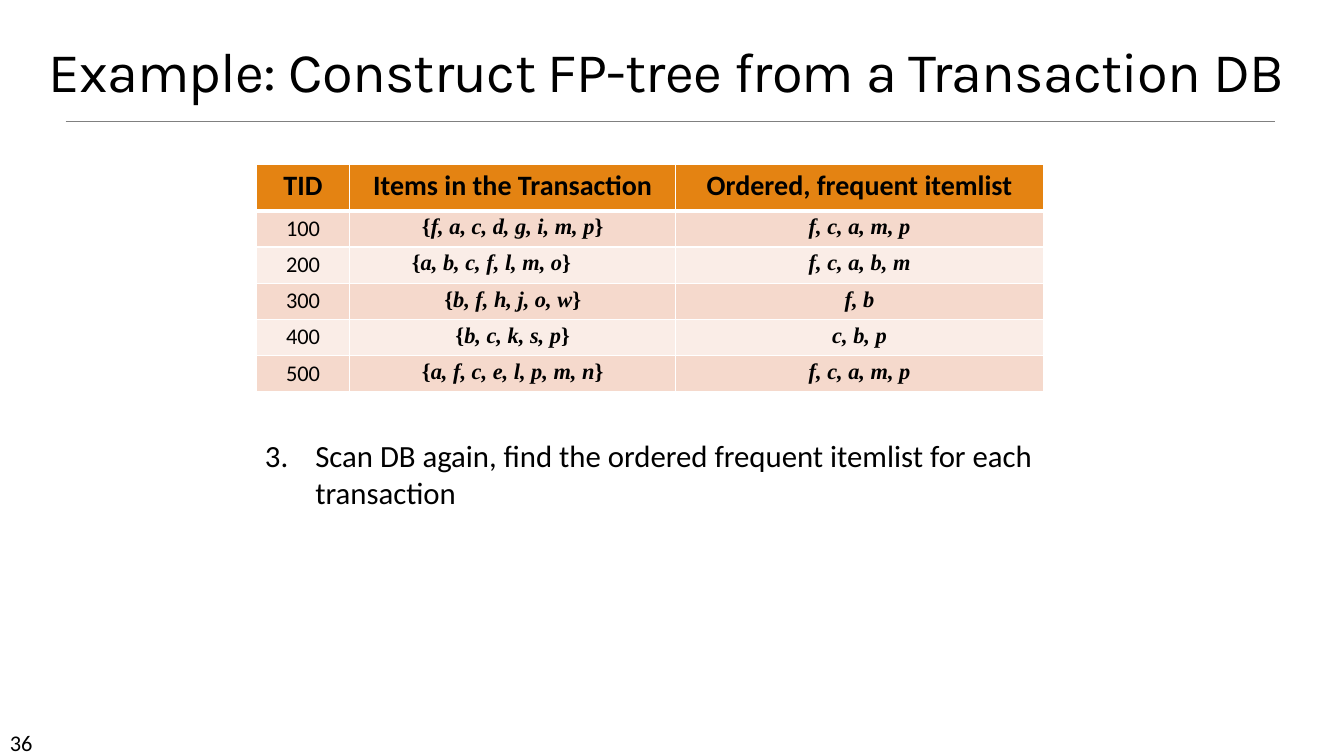
from lxml import etree
from pptx import Presentation
from pptx.dml.color import RGBColor
from pptx.enum.shapes import MSO_CONNECTOR
from pptx.enum.text import MSO_ANCHOR, PP_ALIGN
from pptx.oxml.ns import qn
from pptx.util import Inches, Pt

CENTER = PP_ALIGN.CENTER
BOTTOM = MSO_ANCHOR.BOTTOM
STRAIGHT = MSO_CONNECTOR.STRAIGHT

BODY, SERIF, HEADING = "Calibri", "Times New Roman", "Karla"
BLACK, WHITE, GRAY = "000000", "FFFFFF", "808080"
HEADER_FILL, BAND_FILLS = "E48312", ("F5D9CC", "FAEDE7")

HEADERS = ("TID", "Items in the Transaction", "Ordered, frequent itemlist")
TRANSACTIONS = (
    ("100", "f, a, c, d, g, i, m, p", "}", "f, c, a, m, p"),
    ("200", "a, b, c, f, l, m, o", "}\t", "f, c, a, b, m"),
    ("300", "b, f, h, j, o, w", "}", "f, b"),
    ("400", "b, c, k, s, p", "}", "c, b, p"),
    ("500", "a, f, c, e, l, p, m, n", "}", "f, c, a, m, p"),
)
COLUMN_WIDTHS = (0.93, 3.23, 3.65)
HEADER_HEIGHT, ROW_HEIGHT = 0.46, 0.36


def rgb(value):
    """Turn a hex string into a colour."""
    return RGBColor.from_string(value)


def add_run(p, text, size, font=BODY, bold=False, italic=False):
    """Append a black run to a paragraph."""
    r = p.add_run()
    r.text = text
    r.font.size = Pt(size)
    r.font.name = font
    r.font.bold = bold
    r.font.italic = italic
    r.font.color.rgb = rgb(BLACK)
    return r


def add_text_box(s, left, top, width, height):
    """Add a wrapping text box and return its text frame."""
    box = s.shapes.add_textbox(Inches(left), Inches(top), Inches(width), Inches(height))
    tf = box.text_frame
    tf.word_wrap = True
    return tf


def add_title(s, left, top, width, height):
    """Place the title and the rule under it."""
    tf = add_text_box(s, left, top, width, height)
    tf.vertical_anchor = BOTTOM
    p = tf.paragraphs[0]
    p.alignment = CENTER
    p.line_spacing = 0.85
    r = add_run(p, "Example: Construct FP-tree from a Transaction DB", 40, HEADING)
    r.font._element.set("spc", "-50")

    rule_left, rule_top = Inches(left + 0.43), Inches(top + height + 0.12)
    rule = s.shapes.add_connector(
        STRAIGHT, rule_left, rule_top, rule_left + Inches(12), rule_top)
    rule.line.color.rgb = rgb(GRAY)
    rule.line.width = Pt(0.5)
    etree.SubElement(rule._element.spPr, qn("a:effectLst"))


def style_cell(cell, fill, top_width, bottom_width):
    """Set the fill, margins and white borders of a cell."""
    cell.margin_left = cell.margin_right = Inches(0.13)
    cell.margin_top = cell.margin_bottom = Inches(0.04)
    tcPr = cell._tc.get_or_add_tcPr()
    widths = (("L", 1), ("R", 1), ("T", top_width), ("B", bottom_width))
    for side, width in widths:
        ln = etree.SubElement(tcPr, qn(f"a:ln{side}"), w=str(Pt(width)))
        solid = etree.SubElement(ln, qn("a:solidFill"))
        etree.SubElement(solid, qn("a:srgbClr"), val=WHITE)
    cell.fill.solid()
    cell.fill.fore_color.rgb = rgb(fill)


def add_transaction_table(s, left, top):
    """Place the table of transactions and their ordered item lists."""
    height = HEADER_HEIGHT + ROW_HEIGHT * len(TRANSACTIONS)
    table = s.shapes.add_table(
        len(TRANSACTIONS) + 1, len(HEADERS), Inches(left), Inches(top),
        Inches(sum(COLUMN_WIDTHS)), Inches(height)).table
    for column, width in zip(table.columns, COLUMN_WIDTHS):
        column.width = Inches(width)

    rows = [[[(text, 20, BODY, True)] for text in HEADERS]]
    for tid, items, closing, ordered in TRANSACTIONS:
        rows.append([
            [(tid, 16)],
            [("{", 16, SERIF, True), (items, 16, SERIF, True, True),
             (closing, 16, SERIF, True)],
            [(ordered, 16, SERIF, True, True)],
        ])

    for i, row in enumerate(rows):
        table.rows[i].height = Inches(ROW_HEIGHT if i else HEADER_HEIGHT)
        fill = BAND_FILLS[(i - 1) % 2] if i else HEADER_FILL
        for j, runs in enumerate(row):
            cell = table.cell(i, j)
            style_cell(cell, fill, 3 if i == 1 else 1, 1 if i else 3)
            p = cell.text_frame.paragraphs[0]
            p.alignment = CENTER
            for run in runs:
                add_run(p, *run)


def add_step(s, left, top, width, height):
    """Place the numbered step below the table."""
    p = add_text_box(s, left, top, width, height).paragraphs[0]
    pPr = p._p.get_or_add_pPr()
    pPr.set("marL", str(Inches(0.5)))
    pPr.set("indent", str(Inches(-0.5)))
    etree.SubElement(pPr, qn("a:buFont"), typeface=BODY)
    etree.SubElement(pPr, qn("a:buAutoNum"), type="arabicPeriod", startAt="3")
    add_run(p, "Scan DB again, find the ordered frequent itemlist for each transaction", 22)


def add_page_number(s, left, top, width, height):
    """Place the page number in the corner."""
    tf = add_text_box(s, left, top, width, height)
    add_run(tf.paragraphs[0], "36", 16)


def main():
    """Build the slide and save it."""
    prs = Presentation()
    prs.slide_width, prs.slide_height = Inches(13.33), Inches(7.5)
    s = prs.slides.add_slide(prs.slide_layouts[6])
    add_title(s, 0.22, 0.33, 12.78, 0.75)
    add_transaction_table(s, 2.54, 1.63)
    add_step(s, 2.53, 4.28, 8.03, 0.84)
    add_page_number(s, 0, 7.18, 1.17, 0.3)
    prs.save("out.pptx")


if __name__ == "__main__":
    main()
